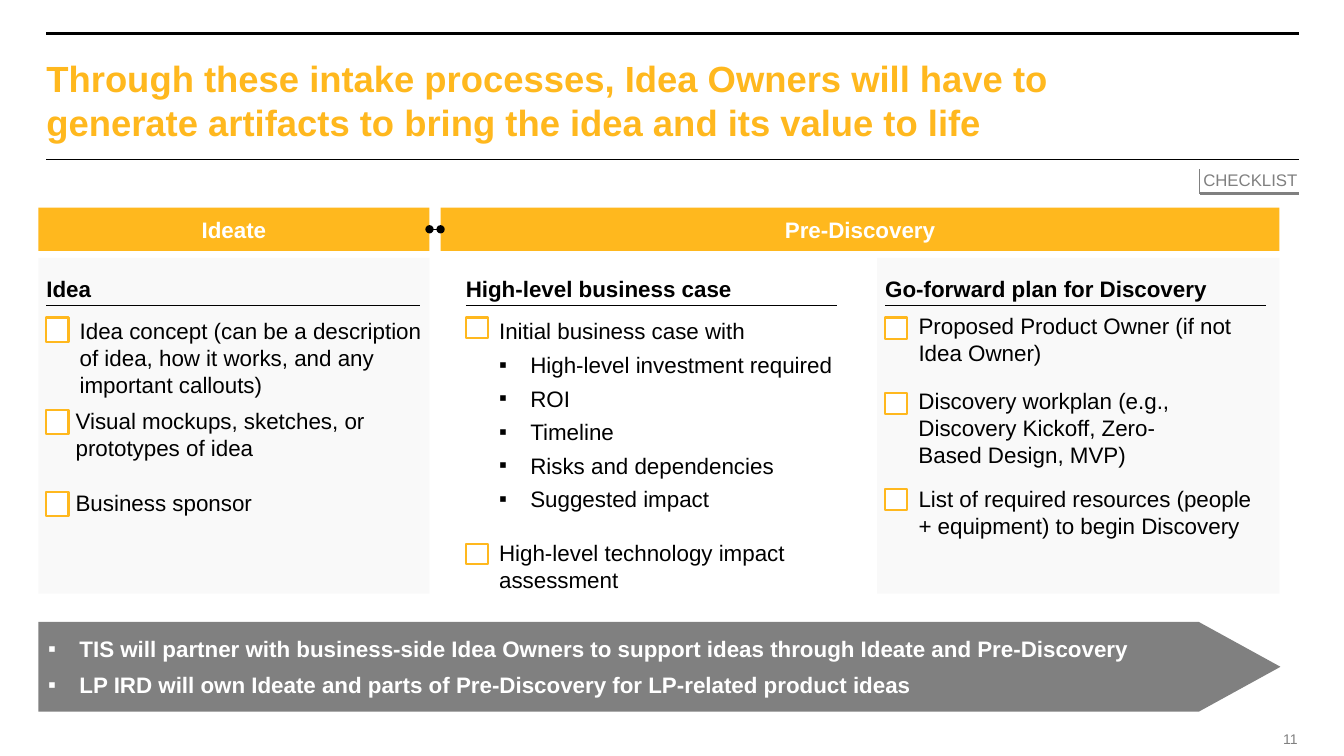
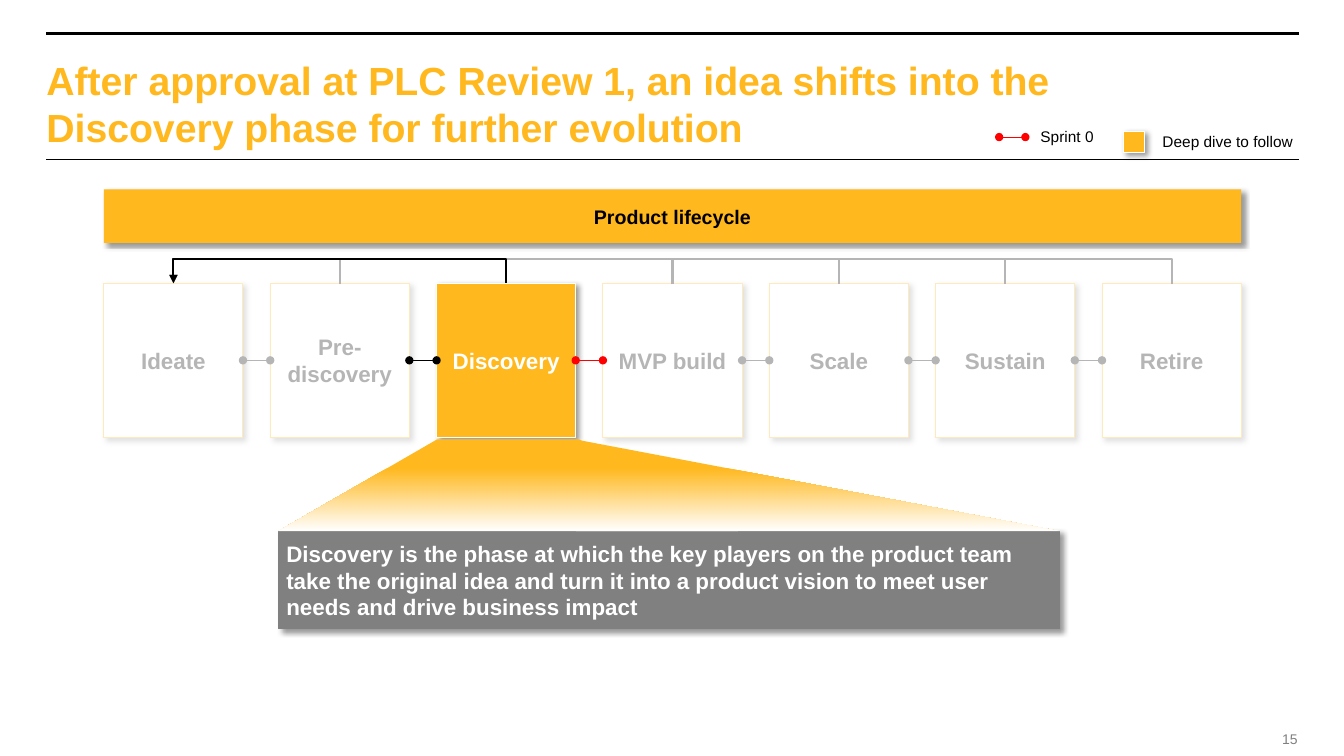
from lxml import etree
from pptx import Presentation
from pptx.dml.color import RGBColor
from pptx.enum.shapes import MSO_CONNECTOR, MSO_SHAPE
from pptx.enum.text import MSO_ANCHOR, PP_ALIGN
from pptx.oxml.ns import qn
from pptx.util import Emu, Pt

PX = 9144
FONT = "Arial"
GOLD = RGBColor(0xFF, 0xB8, 0x1E)
GRAY = RGBColor(0x80, 0x80, 0x80)
PALE = RGBColor(0xF2, 0xF2, 0xF2)
BLACK = RGBColor(0, 0, 0)
WHITE = RGBColor(0xFF, 0xFF, 0xFF)
RED = RGBColor(0xFF, 0, 0)

CHECKLIST_TITLE = ("Through these intake processes, Idea Owners will have to "
                   "generate artifacts to bring the idea and its value to life")
HEADERS = [("Ideate", 38, 388), ("Pre-Discovery", 437, 832)]
PANELS = [(870, 399), (38, 388)]
BUSINESS_CASE = ["Initial business case with", "High-level investment required", "ROI",
                 "Timeline", "Risks and dependencies", "Suggested impact"]
COLUMNS = [
    {"heading": "Idea", "x": 46, "rule": 371, "tick_h": 24, "items": [
        (315, 79, 315, 362, ["Idea concept (can be a description of idea, how it works, "
                             "and any important callouts)"]),
        (407, 75, 404, 362, ["Visual mockups, sketches, or prototypes of idea"]),
        (488, 75, 485, 362, ["Business sponsor"])]},
    {"heading": "High-level business case", "x": 462, "rule": 368, "tick_h": 20, "items": [
        (315, 495, 315, 351, BUSINESS_CASE),
        (540, 495, 535, 335, ["High-level technology impact assessment"])]},
    {"heading": "Go-forward plan for Discovery", "x": 878, "rule": 378, "tick_h": 21, "items": [
        (315, 911, 310, 345, ["Proposed Product Owner (if not Idea Owner)"]),
        (390, 911, 384, 294, ["Discovery workplan (e.g., Discovery Kickoff, Zero-Based Design, MVP)"]),
        (485, 911, 481, 345, ["List of required resources (people + equipment) to begin Discovery"])]},
]
SUPPORT_NOTES = [
    "TIS will partner with business-side Idea Owners to support ideas through Ideate and Pre-Discovery",
    "LP IRD will own Ideate and parts of Pre-Discovery for LP-related product ideas",
]

LIFECYCLE_TITLE = ("After approval at PLC Review 1, an idea shifts into the "
                   "Discovery phase for further evolution")
PHASES = ["Ideate", "Pre-discovery", "Discovery", "MVP build", "Scale", "Sustain", "Retire"]
FOCUS = PHASES.index("Discovery")
PHASE_X, PHASE_Y, PHASE_W, PHASE_H, PHASE_STEP = 103, 281, 138, 153, 165
LOOP_RISE = 25
DISCOVERY_NOTE = ("Discovery is the phase at which the key players on the product team take the "
                  "original idea and turn it into a product vision to meet user needs and drive "
                  "business impact")


def px(*values):
    return [Emu(round(v * PX)) for v in values]


def add_xml(parent, tag, **attrs):
    return etree.SubElement(parent, qn(tag), {k: str(v) for k, v in attrs.items()})


def add_bullet(p, color):
    pPr = p._p.get_or_add_pPr()
    pPr.set("marL", str(31 * PX))
    pPr.set("indent", str(-31 * PX))
    add_xml(add_xml(pPr, "a:buClr"), "a:srgbClr", val=color)
    add_xml(pPr, "a:buFont", typeface=FONT)
    add_xml(pPr, "a:buChar", char="▪")


def write(sp, lines, size=16, color=BLACK, bold=False, align=PP_ALIGN.LEFT,
          anchor=MSO_ANCHOR.MIDDLE, inset=None, wrap=True, before=0, bullets_from=None):
    tf = sp.text_frame
    tf.word_wrap = wrap
    tf.vertical_anchor = anchor
    if inset is not None:
        tf.margin_left, tf.margin_top, tf.margin_right, tf.margin_bottom = px(*inset)
    for i, line in enumerate(lines):
        p = tf.paragraphs[0] if i == 0 else tf.add_paragraph()
        p.text = line
        p.alignment = align
        if i:
            p.space_before = Pt(before)
        if bullets_from is not None and i >= bullets_from:
            add_bullet(p, color)
        p.font.name = FONT
        p.font.size = Pt(size)
        p.font.bold = bold
        p.font.color.rgb = color


def add_text(s, box, lines, anchor=MSO_ANCHOR.TOP, inset=(0, 0, 0, 0), **style):
    write(s.shapes.add_textbox(*px(*box)), lines, anchor=anchor, inset=inset, **style)


def add_box(s, box, fill, line=None, weight=0.75, kind=MSO_SHAPE.RECTANGLE,
            alpha=None, shadow=False):
    sp = s.shapes.add_shape(kind, *px(*box))
    sp.shadow.inherit = False
    sp.fill.solid()
    sp.fill.fore_color.rgb = fill
    if alpha:
        clr = sp._element.spPr.find(qn("a:solidFill"))[0]
        add_xml(clr, "a:alpha", val=alpha * 1000)
    if line is None:
        sp.line.fill.background()
    else:
        sp.line.color.rgb = line
        sp.line.width = Pt(weight)
    if shadow:
        effects = sp._element.spPr.find(qn("a:effectLst"))
        outer = add_xml(effects, "a:outerShdw", blurRad=Pt(4), dist=Pt(3), dir=45 * 60000,
                        algn="tl", rotWithShape=0)
        add_xml(add_xml(outer, "a:srgbClr", val=BLACK), "a:alpha", val=40000)
    return sp


def add_line(s, ends, color=BLACK, weight=0.75, head=None, tail=None,
             kind=MSO_CONNECTOR.STRAIGHT):
    cxn = s.shapes.add_connector(kind, *px(*ends))
    cxn.line.color.rgb = color
    cxn.line.width = Pt(weight)
    ln = cxn.line._get_or_add_ln()
    if head:
        add_xml(ln, "a:headEnd", type=head)
    if tail:
        add_xml(ln, "a:tailEnd", type=tail)
    add_xml(cxn._element.spPr, "a:effectLst")
    return cxn


def add_link(s, left, right, color=BLACK):
    cxn = add_line(s, (0, 0, 0, 0), color, head="oval", tail="oval")
    cxn.begin_connect(left, 3)
    cxn.end_connect(right, 1)


def add_loop(s, start_x, end_x):
    span = start_x - end_x
    mid_x, mid_y = (start_x + end_x) / 2, PHASE_Y + 0.5
    cxn = add_line(s, (0, 0, 1, 1), weight=1.5, tail="triangle", kind=MSO_CONNECTOR.ELBOW)
    cxn.left, cxn.top, cxn.width, cxn.height = px(mid_x - 0.5, mid_y - span / 2, 1, span)
    spPr = cxn._element.spPr
    xfrm = spPr.find(qn("a:xfrm"))
    xfrm.set("rot", str(270 * 60000))
    xfrm.set("flipV", "1")
    geom = spPr.find(qn("a:prstGeom"))
    guides = geom.find(qn("a:avLst"))
    if guides is None:
        guides = add_xml(geom, "a:avLst")
    add_xml(guides, "a:gd", name="adj1", fmla=f"val {LOOP_RISE * 100000}")


def add_slide(prs, title, title_size, number):
    s = prs.slides.add_slide(prs.slide_layouts[6])
    add_text(s, (1270, 725, 17, 17), [number], size=10, color=GRAY, align=PP_ALIGN.RIGHT,
             anchor=MSO_ANCHOR.MIDDLE, wrap=False)
    for y, weight in ((33, 2.5), (158, 1)):
        add_line(s, (46, y, 1288, y), weight=weight)
    add_text(s, (46, 56, 1081, 94), [title], size=title_size, color=GOLD, bold=True)
    return s


def build_checklist(prs):
    s = add_slide(prs, CHECKLIST_TITLE, 26, "11")
    for x, w in PANELS:
        add_box(s, (x, 256, w, 333), PALE, alpha=45)
    for col in COLUMNS:
        x = col["x"]
        add_text(s, (x, 272, 399, 30), [col["heading"]], bold=True,
                 anchor=MSO_ANCHOR.MIDDLE, inset=(0, 0, 0, 2))
        add_line(s, (x, 303, x + col["rule"], 303))
        for tick_y, text_x, text_y, w, lines in col["items"]:
            add_box(s, (x, tick_y, 22, col["tick_h"]), WHITE, GOLD, 1.5)
            add_text(s, (text_x, text_y, w, 27 * len(lines)), lines,
                     before=4.8, bullets_from=1)

    add_text(s, (1190, 168, 97, 23), ["CHECKLIST"], size=12, color=GRAY,
             align=PP_ALIGN.RIGHT, inset=(3, 0, 0, 3), wrap=False)
    add_line(s, (1190, 168, 1190, 192), GRAY)
    add_line(s, (1190, 192, 1288, 192), GRAY, 2)

    headers = []
    for label, x, w in HEADERS:
        sp = add_box(s, (x, 206, w, 43), GOLD)
        write(sp, [label], color=WHITE, bold=True, align=PP_ALIGN.CENTER)
        headers.append(sp)
    add_link(s, *headers)

    arrow = add_box(s, (38, 617, 1232, 89), GRAY, kind=MSO_SHAPE.PENTAGON)
    arrow.adjustments[0] = 0.91
    write(arrow, SUPPORT_NOTES, color=WHITE, bold=True, before=6.4, bullets_from=0)


def add_phase(s, i, fill, line, color):
    sp = add_box(s, (PHASE_X + i * PHASE_STEP, PHASE_Y, PHASE_W, PHASE_H), fill, line, shadow=True)
    write(sp, [PHASES[i]], color=color, bold=True, align=PP_ALIGN.CENTER)
    return sp


def build_lifecycle(prs):
    s = add_slide(prs, LIFECYCLE_TITLE, 28, "15")
    add_box(s, (1114, 130, 21, 21), GOLD, WHITE, shadow=True)
    add_line(s, (991, 136, 1017, 136), RED, head="oval", tail="oval")
    for label, x, y in (("Deep dive to follow", 1153, 131), ("Sprint 0", 1032, 126)):
        add_text(s, (x, y, 130, 19), [label], size=11)

    banner = add_box(s, (103, 188, 1128, 53), GOLD, shadow=True)
    write(banner, ["Product lifecycle"], size=14, bold=True, align=PP_ALIGN.CENTER,
          inset=(8, 8, 8, 8))

    centers = [PHASE_X + i * PHASE_STEP + PHASE_W // 2 for i in range(len(PHASES))]
    boxes = {i: add_phase(s, i, WHITE, GOLD, BLACK) for i in range(len(PHASES)) if i != FOCUS}
    for i in boxes:
        if i:
            add_loop(s, centers[i], centers[0])
        if i + 1 in boxes:
            add_link(s, boxes[i], boxes[i + 1])

    note = add_box(s, (276, 527, 775, 97), GRAY, GRAY, shadow=True)
    write(note, [DISCOVERY_NOTE], color=WHITE, bold=True, inset=(8, 8, 8, 8))
    add_box(s, (85, 247, 1163, 205), WHITE, alpha=71)

    add_loop(s, centers[FOCUS], centers[0])
    focus = add_phase(s, FOCUS, GOLD, WHITE, WHITE)
    add_link(s, focus, boxes[FOCUS + 1], RED)
    add_link(s, boxes[FOCUS - 1], focus)

    for kind, x, w in ((MSO_SHAPE.TRAPEZOID, 276, 456), (MSO_SHAPE.RIGHT_TRIANGLE, 571, 480)):
        beam = add_box(s, (x, 436, w, 91), GOLD, kind=kind)
        if kind == MSO_SHAPE.TRAPEZOID:
            beam.adjustments[0] = 1.73
        beam.fill.gradient()
        beam.fill.gradient_angle = 270
        for stop, color, position in zip(beam.fill.gradient_stops, (GOLD, WHITE), (0.31, 1)):
            stop.color.rgb = color
            stop.position = position


def main():
    prs = Presentation()
    prs.slide_width, prs.slide_height = px(1333, 750)
    build_checklist(prs)
    build_lifecycle(prs)
    prs.save("out.pptx")


if __name__ == "__main__":
    main()
